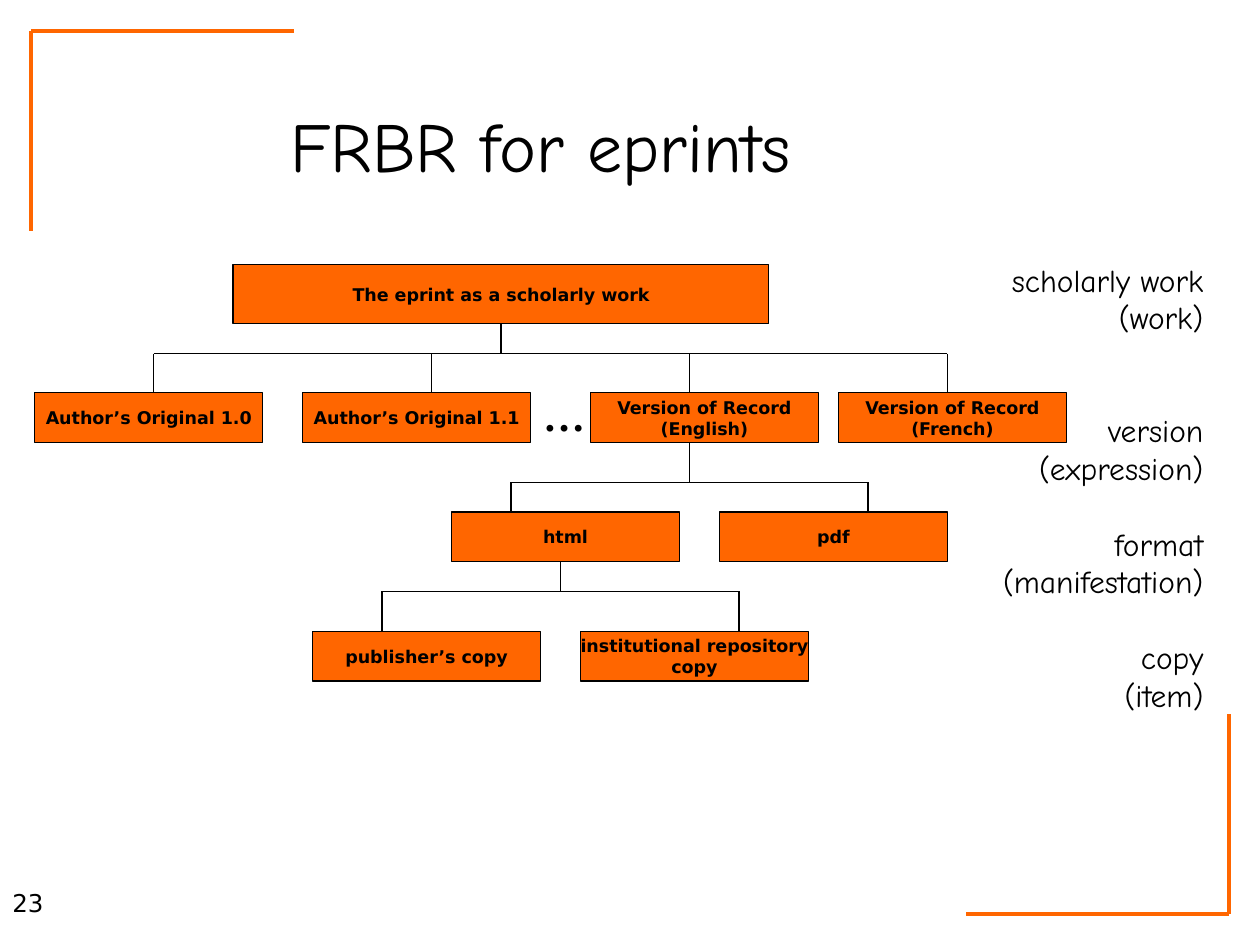
from pptx import Presentation
from pptx.dml.color import RGBColor
from pptx.enum.shapes import MSO_CONNECTOR, MSO_SHAPE
from pptx.enum.text import MSO_ANCHOR, MSO_AUTO_SIZE, PP_ALIGN
from pptx.oxml.ns import qn
from pptx.util import Cm, Pt
from lxml.etree import SubElement

WIDTH, HEIGHT = 25.4, 19.05
ORANGE, BLACK = "FF6600", "000000"
BOX_WIDTH, BOX_HEIGHT = 4.6, 1

TITLE_FONT = {"name": "Comic Neue", "size": Pt(40)}
LEVEL_FONT = {"name": "Comic Neue", "size": Pt(18)}
BOX_FONT = {"name": "DejaVu Sans", "size": Pt(10), "bold": True}
ELLIPSIS_FONT = {"name": "Times New Roman", "size": Pt(24), "bold": True}
NUMBER_FONT = {"name": "DejaVu Sans", "size": Pt(14)}

ROOT = (["The eprint as a scholarly work"], 4.7, 5.33, 10.8, 1.2)
TIERS = [
    (7.92, [
        (["Author’s Original 1.0"], 0.7),
        (["Author’s Original 1.1"], 6.1),
        (["Version of Record", "(English)"], 11.9),
        (["Version of Record", "(French)"], 16.9),
    ]),
    (10.32, [(["html"], 9.1), (["pdf"], 14.5)]),
    (12.73, [
        (["publisher’s copy"], 6.3),
        (["institutional repository", "copy"], 11.7),
    ]),
]
BRANCHES = [
    {"stem": 10.1, "start": 6.53, "bus": 7.13, "drops": [3.1, 8.7, 13.9, 19.1]},
    {"stem": 13.9, "start": 8.92, "bus": 9.72, "drops": [10.3, 17.5]},
    {"stem": 11.3, "start": 11.32, "bus": 11.92, "drops": [7.7, 14.9]},
]
LEVELS = [
    ("scholarly work", "(work)", 0),
    ("version", "(expression)", 43),
    ("format", "(manifestation)", 21.5),
    ("copy", "(item)", 21.5),
]
MARGIN, ARM_ACROSS, ARM_DOWN = 0.63, 5.93, 4.65


def color(value):
    return RGBColor.from_string(value)


def write(shape, lines, font, align, anchor=MSO_ANCHOR.TOP, wrap=False, gaps=None):
    frame = shape.text_frame
    frame.word_wrap = wrap
    frame.vertical_anchor = anchor
    for index, line in enumerate(lines):
        paragraph = frame.paragraphs[0] if index == 0 else frame.add_paragraph()
        paragraph.text = line
        paragraph.alignment = align
        if gaps and gaps[index]:
            paragraph.space_before = Pt(gaps[index])
        for key, value in font.items():
            setattr(paragraph.font, key, value)
        paragraph.font.color.rgb = color(BLACK)


def add_text(slide, place, *content, **options):
    box = slide.shapes.add_textbox(*map(Cm, place))
    write(box, *content, **options)
    return box


def add_box(slide, lines, *place):
    box = slide.shapes.add_shape(MSO_SHAPE.RECTANGLE, *map(Cm, place))
    box.shadow.inherit = False
    box.fill.solid()
    box.fill.fore_color.rgb = color(ORANGE)
    box.line.color.rgb = color(BLACK)
    box.line.width = Pt(0.75)
    write(box, lines, BOX_FONT, PP_ALIGN.CENTER, MSO_ANCHOR.MIDDLE)
    return box


def add_line(slide, ends, stroke=BLACK, width=0.75):
    line = slide.shapes.add_connector(MSO_CONNECTOR.STRAIGHT, *map(Cm, ends))
    line.line.color.rgb = color(stroke)
    line.line.width = Pt(width)
    SubElement(line._element.spPr, qn("a:effectLst"))
    return line


def add_corners(slide):
    near = (MARGIN, MARGIN, ARM_ACROSS, ARM_DOWN)
    far = (WIDTH - MARGIN, HEIGHT - MARGIN, WIDTH - ARM_ACROSS, HEIGHT - ARM_DOWN)
    for x, y, across, down in (near, far):
        add_line(slide, (x, y, across, y), ORANGE, 2)
        add_line(slide, (x, down, x, y), ORANGE, 2)


def add_tree(slide):
    root = add_box(slide, *ROOT)
    for top, boxes in TIERS:
        for lines, left in boxes:
            add_box(slide, lines, left, top, BOX_WIDTH, BOX_HEIGHT)
    for branch, (top, _) in zip(BRANCHES, TIERS):
        stem, bus, drops = branch["stem"], branch["bus"], branch["drops"]
        trunk = add_line(slide, (stem, branch["start"], stem, bus))
        if branch is BRANCHES[0]:
            trunk.begin_connect(root, 2)
        add_line(slide, (drops[0], bus, drops[-1], bus))
        for x in drops:
            add_line(slide, (x, bus, x, top))


def main():
    deck = Presentation()
    deck.slide_width, deck.slide_height = Cm(WIDTH), Cm(HEIGHT)
    slide = deck.slides.add_slide(deck.slide_layouts[6])

    add_corners(slide)
    add_text(slide, (1.1, 1.32, 19.6, 3.18), ["FRBR for eprints"], TITLE_FONT,
             PP_ALIGN.CENTER, anchor=MSO_ANCHOR.MIDDLE, wrap=True)
    add_tree(slide)

    level_lines = [line for name, entity, _ in LEVELS for line in (name, entity)]
    level_gaps = [gap for *_, before in LEVELS for gap in (before, 0)]
    levels = add_text(slide, (19.94, 5.13, 4.57, 9.4), level_lines, LEVEL_FONT,
                      PP_ALIGN.RIGHT, gaps=level_gaps)
    ellipsis = add_text(slide, (10.7, 7.72, 1.35, 1.27), ["…"], ELLIPSIS_FONT,
                        PP_ALIGN.LEFT)
    for label in (levels, ellipsis):
        label.text_frame.auto_size = MSO_AUTO_SIZE.SHAPE_TO_FIT_TEXT
    add_text(slide, (0, 17.78, 5.28, 1.27), ["23"], NUMBER_FONT, PP_ALIGN.LEFT,
             wrap=True)

    deck.save("out.pptx")


if __name__ == "__main__":
    main()
